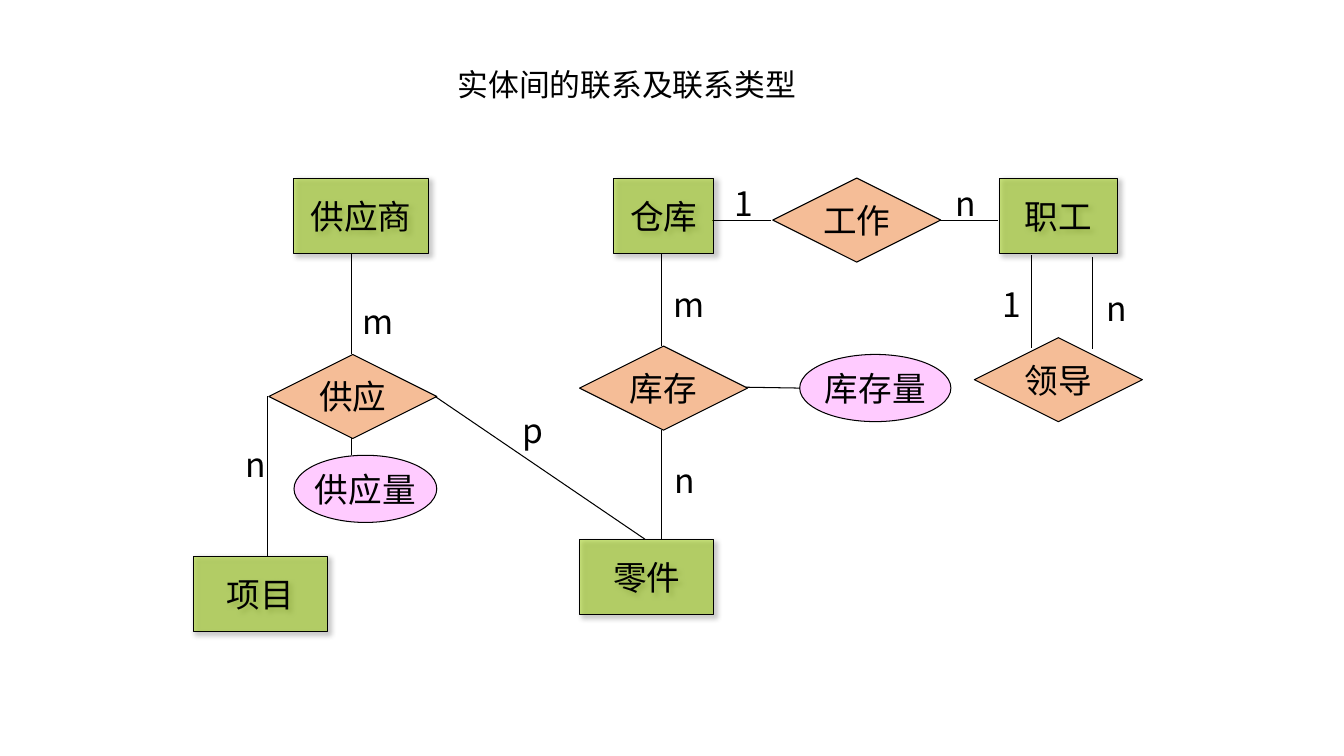
from dataclasses import dataclass

from lxml.etree import SubElement
from pptx import Presentation
from pptx.dml.color import RGBColor
from pptx.enum.shapes import MSO_CONNECTOR, MSO_SHAPE
from pptx.enum.text import MSO_ANCHOR, MSO_AUTO_SIZE, PP_ALIGN
from pptx.oxml.ns import qn
from pptx.util import Emu, Inches, Pt

FONT = "Noto Sans CJK SC"
COLORS = {"ink": "000000", "entity": "99CC00", "relation": "ED7D31", "attribute": "FF99FF"}
GRID_COLS, GRID_ROWS = 160, 90
WIDTH, HEIGHT = Inches(13.33), Inches(7.5)
PRESETS = {
    "entity": MSO_SHAPE.RECTANGLE,
    "relation": MSO_SHAPE.DIAMOND,
    "attribute": MSO_SHAPE.OVAL,
}


@dataclass(frozen=True)
class Node:
    kind: str
    text: str
    col: float
    row: float
    cols: float
    rows: float


@dataclass(frozen=True)
class Link:
    col1: float
    row1: float
    col2: float
    row2: float


@dataclass(frozen=True)
class Label:
    text: str
    col: float
    row: float
    cols: float = 5
    rows: float = 6
    size: int = 24
    align: PP_ALIGN = PP_ALIGN.CENTER
    shadow: bool = False


def entity(text: str, col: float, row: float, cols: float = 16) -> Node:
    return Node("entity", text, col, row, cols, 9)


def relation(text: str, col: float, row: float) -> Node:
    return Node("relation", text, col, row, 20, 10)


def attribute(text: str, col: float, row: float, cols: float) -> Node:
    return Node("attribute", text, col, row, cols, 8)


LINKS = [
    Link(84.8, 26.2, 91.8, 26.2),
    Link(111.8, 26.2, 118.8, 26.2),
    Link(41.8, 42.2, 41.8, 30.2),
    Link(31.8, 47.2, 31.8, 66.2),
    Link(51.8, 47.2, 76.8, 64.2),
    Link(78.8, 30.2, 78.8, 41.2),
    Link(78.8, 51.2, 78.8, 64.2),
    Link(88.8, 46.1, 95.2, 46.2),
    Link(41.8, 52.2, 41.8, 54.2),
    Link(122.8, 30.4, 122.8, 41.4),
    Link(130.1, 30.6, 130.1, 41.5),
]
NODES = [
    entity("供应商", 35, 21.2),
    entity("仓库", 73, 21.2, 12),
    entity("职工", 119, 21.2, 14),
    relation("工作", 92, 21.2),
    relation("供应", 32, 42.2),
    entity("零件", 69, 64.2),
    entity("项目", 23, 66.2),
    relation("库存", 69, 41.2),
    attribute("库存量", 95.2, 42.2, 18),
    relation("领导", 116, 40.2),
    attribute("供应量", 35, 54.2, 17),
]
LABELS = [
    Label("1", 86, 21.2),
    Label("n", 112, 21.2, cols=6),
    Label("m", 42, 35.2),
    Label("n", 28, 52.2),
    Label("p", 61, 48.2),
    Label("m", 79, 33.2),
    Label("n", 79, 54.2),
    Label("1", 118, 33.2),
    Label("n", 130.1, 33.7, cols=5.6, shadow=True),
    Label("实体间的联系及联系类型", 53.3, 7.2, 47.3, 5.6, 22, PP_ALIGN.LEFT),
]


def x(cols: float) -> Emu:
    return Emu(round(WIDTH * cols / GRID_COLS))


def y(rows: float) -> Emu:
    return Emu(round(HEIGHT * rows / GRID_ROWS))


def rgb(name: str) -> RGBColor:
    return RGBColor.from_string(COLORS[name])


def add_shadow(parent, blur: float, distance: float) -> None:
    for old in parent.findall(qn("a:effectLst")):
        parent.remove(old)
    effects = SubElement(parent, qn("a:effectLst"))
    shadow = SubElement(effects, qn("a:outerShdw"), blurRad=str(Pt(blur)),
                        dist=str(Pt(distance)), dir="2700000", algn="tl", rotWithShape="0")
    color = SubElement(shadow, qn("a:srgbClr"), val=COLORS["ink"])
    SubElement(color, qn("a:alpha"), val="40000")


def write(tf, text: str, size: int, align: PP_ALIGN):
    p = tf.paragraphs[0]
    p.alignment = align
    r = p.add_run()
    r.text = text
    p.font.name = FONT
    p.font.size = Pt(size)
    p.font.color.rgb = rgb("ink")
    SubElement(p._p.pPr.find(qn("a:defRPr")), qn("a:ea"), typeface=FONT)
    SubElement(r._r.get_or_add_rPr(), qn("a:ea"), typeface=FONT)
    return r


def draw_link(s, link: Link) -> None:
    line = s.shapes.add_connector(MSO_CONNECTOR.STRAIGHT, x(link.col1), y(link.row1),
                                  x(link.col2), y(link.row2))
    line.line.color.rgb = rgb("ink")
    line.line.width = Pt(0.75)
    SubElement(line._element.spPr, qn("a:effectLst"))


def draw_node(s, node: Node) -> None:
    sp = s.shapes.add_shape(PRESETS[node.kind], x(node.col), y(node.row),
                            x(node.cols), y(node.rows))
    sp.shadow.inherit = False
    sp.fill.solid()
    sp.fill.fore_color.rgb = rgb(node.kind)
    color = sp._element.spPr.find(qn("a:solidFill")).find(qn("a:srgbClr"))
    SubElement(color, qn("a:alpha"), val="50000")
    sp.line.color.rgb = rgb("ink")
    sp.line.width = Pt(0.75)
    if node.kind == "entity":
        add_shadow(sp._element.spPr, 4, 3)
    tf = sp.text_frame
    tf.word_wrap = False
    tf.vertical_anchor = MSO_ANCHOR.MIDDLE
    write(tf, node.text, 24, PP_ALIGN.CENTER)


def draw_label(s, label: Label) -> None:
    sp = s.shapes.add_textbox(x(label.col), y(label.row), x(label.cols), y(label.rows))
    tf = sp.text_frame
    tf.word_wrap = True
    tf.auto_size = MSO_AUTO_SIZE.SHAPE_TO_FIT_TEXT
    r = write(tf, label.text, label.size, label.align)
    if label.shadow:
        rPr = r._r.get_or_add_rPr()
        add_shadow(rPr, 0, 3)
        rPr.insert(0, rPr.find(qn("a:effectLst")))


def main() -> None:
    prs = Presentation()
    prs.slide_width, prs.slide_height = WIDTH, HEIGHT
    s = prs.slides.add_slide(prs.slide_layouts[6])
    for link in LINKS:
        draw_link(s, link)
    for node in NODES:
        draw_node(s, node)
    for label in LABELS:
        draw_label(s, label)
    prs.save("out.pptx")


if __name__ == "__main__":
    main()
